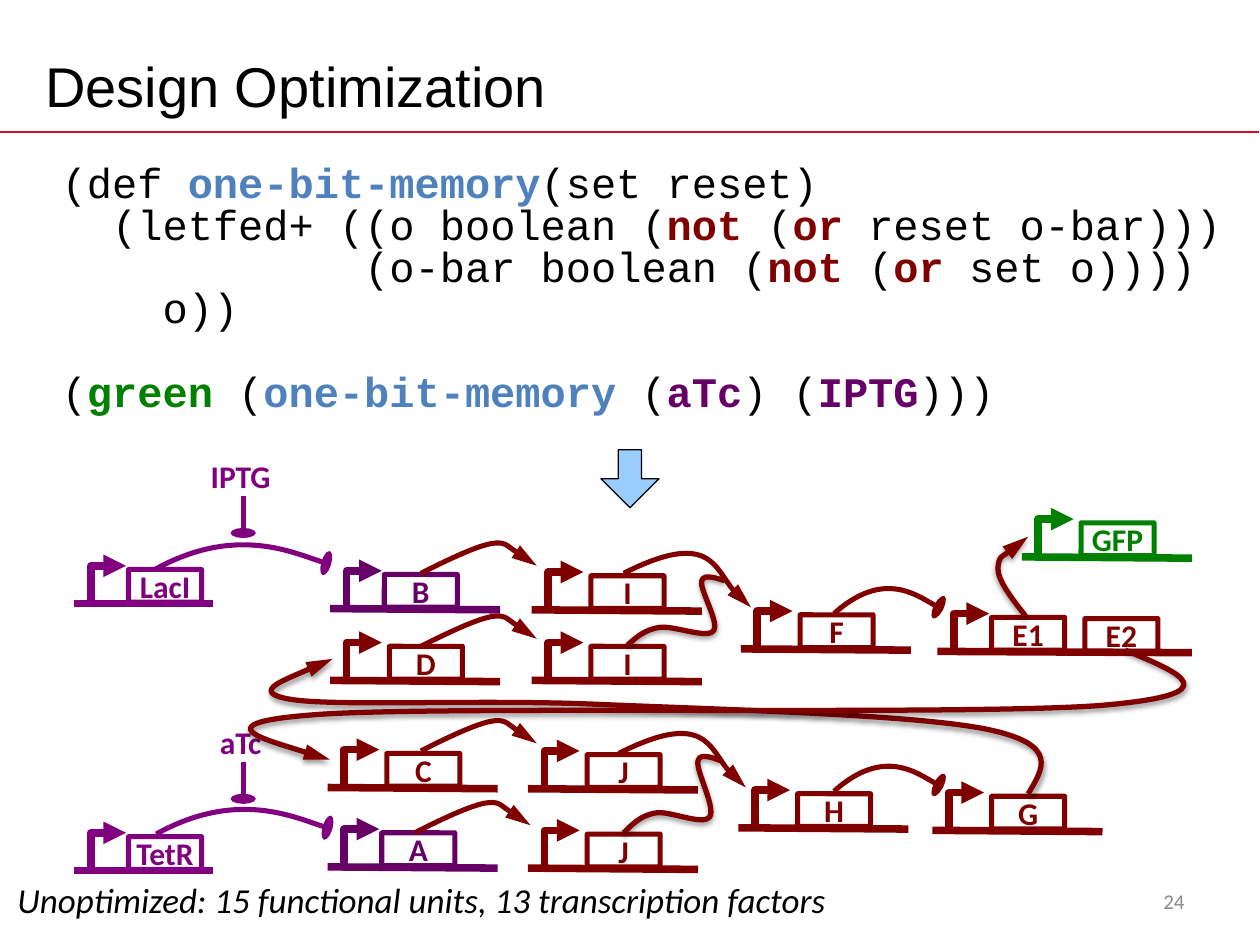
"""Build the design optimization slide with its genetic circuit diagram."""
from dataclasses import dataclass
from typing import Optional

from lxml.etree import SubElement
from pptx import Presentation
from pptx.dml.color import RGBColor
from pptx.enum.shapes import MSO_CONNECTOR as Connector, MSO_SHAPE as Shape
from pptx.enum.text import MSO_ANCHOR as Anchor, PP_ALIGN as Align
from pptx.oxml.ns import qn
from pptx.util import Cm, Pt

COLORS = {
    "black": "000000", "rule": "CE1126", "blue": "4F81BD", "maroon": "800000",
    "green": "008000", "plum": "660066", "purple": "800080", "arrow": "99CCFF",
    "gray": "898989",
}
HEADS = {"promoter": ("triangle", "med", "med"),
         "activate": ("triangle", "med", "lg"),
         "repress": ("oval", "lg", "sm")}
THICK, THIN, SOFT = 4.31, 2.89, 3

SHORT = ((.69, -.35), (.72, -.18), (.92, -.06))
LONG = ((.69, -.35), (.81, .15), (1.01, .27))
WIDE_ARC = ((.65, -.36), (1.14, -.11), (1.36, -.05))
NARROW_ARC = ((.4, -.36), (.7, -.11), (.83, -.05))
BRANCH = ((.07, -.06), (.13, -.12), (.25, -.14), (.36, -.16), (.62, -.05), (.68, -.11),
          (.74, -.17), (.57, -.44), (.59, -.51), (.6, -.58), (.77, -.51), (.77, -.51))
G_TO_D = ((.12, -.2), (.25, -.39), (-.32, -.51), (-.89, -.63), (-2.5, -.67), (-3.43, -.71),
          (-4.35, -.75), (-5.51, -.69), (-5.86, -.75), (-6.2, -.81), (-5.52, -1.07),
          (-5.52, -1.07))
E2_TO_C = ((.43, .18), (.87, .35), (-.2, .44), (-1.26, .52), (-5.37, .44), (-6.39, .51),
           (-7.41, .58), (-6.31, .87), (-6.31, .87))
E1_TO_GFP = ((-.11, -.14), (-.22, -.28), (-.22, -.38), (-.21, -.49), (.02, -.63), (.02, -.63))


@dataclass
class Gene:
    """A promoter arrow and its labelled boxes on a strand starting at x, y."""
    x: float
    y: float
    labels: tuple
    color: str = "maroon"
    offset: float = .47
    length: float = 1.35
    drop: float = .01


@dataclass
class Curve:
    """A chain of Bezier points relative to its start."""
    start: tuple
    steps: tuple
    head: Optional[str] = "activate"
    color: str = "maroon"
    width: float = THIN
    stretch: float = 1


@dataclass
class Inducer:
    """A small molecule with a blunt line below it."""
    name: str
    top: float


GENES = (
    Gene(.59, 4.79, ("LacI",), "purple", .43, 1.1, 0),
    Gene(2.62, 4.83, ("B",), "plum", .43),
    Gene(4.22, 5.4, ("I",)),
    Gene(7.4, 6.59, ("G",)),
    Gene(4.22, 4.84, ("I",)),
    Gene(5.88, 5.15, ("F",)),
    Gene(8.11, 4.42, ("GFP",), "green"),
    Gene(2.62, 5.4, ("D",)),
    Gene(7.44, 5.17, ("E1", "E2"), offset=.43, length=2.02),
    Gene(2.6, 6.88, ("A",), "plum", .43),
    Gene(4.19, 6.26, ("J",)),
    Gene(5.86, 6.57, ("H",)),
    Gene(2.6, 6.25, ("C",)),
    Gene(4.19, 6.89, ("J",)),
    Gene(.59, 6.91, ("TetR",), "purple", .43, 1.1, 0),
)
INDUCERS = (Inducer("IPTG", 3.63), Inducer("aTc", 5.74))
CURVES = (
    *(Curve(start, WIDE_ARC, "repress", "purple") for start in ((1.24, 6.62), (1.23, 4.52))),
    *(Curve(start, LONG) for start in ((4.91, 5.98), (4.95, 4.55))),
    *(Curve(start, NARROW_ARC, "repress") for start in ((6.62, 6.28), (6.62, 4.87))),
    Curve((4.98, 5.12), BRANCH, None, width=SOFT),
    Curve((4.95, 6.61), BRANCH, None, width=SOFT, stretch=1.12),
    *(Curve(start, SHORT) for start in ((3.34, 4.55), (3.34, 5.13), (3.34, 5.96), (3.29, 6.61))),
    Curve((8.16, 6.3), G_TO_D, width=SOFT),
    Curve((8.93, 5.16), E2_TO_C, width=SOFT),
    Curve((8.14, 4.89), E1_TO_GFP, width=SOFT),
)
CODE = (
    (("(def ", "black"), ("one-bit-memory", "blue"), ("(set reset)", "black")),
    (("  (letfed+ ((o boolean (", "black"), ("not ", "maroon"), ("(", "black"),
     ("or ", "maroon"), ("reset o-bar)))", "black")),
    (("            (o-bar boolean (", "black"), ("not ", "maroon"), ("(", "black"),
     ("or ", "maroon"), ("set o))))", "black")),
    (("    o))", "black"),),
    (("(", "black"), ("green ", "green"), ("(", "black"), ("one-bit-memory ", "blue"),
     ("(", "black"), ("aTc", "plum"), (") (", "black"), ("IPTG", "plum"), (")))", "black")),
)


def inch(value: float) -> Cm:
    """Turn a diagram unit into a length."""
    return Cm(value * 2.54)


def rgb(name: str) -> RGBColor:
    """Look up a named colour."""
    return RGBColor.from_string(COLORS[name])


def style_line(shape, color: str, width: float, head: Optional[str] = None) -> None:
    """Set the line of a shape and its arrowhead."""
    shape.line.color.rgb = rgb(color)
    shape.line.width = Pt(width)
    if head:
        kind, breadth, length = HEADS[head]
        SubElement(shape.line._get_or_add_ln(), qn("a:tailEnd"),
                   {"type": kind, "w": breadth, "len": length})


def style_font(font, size: float, color: str, name="Calibri", bold=False, italic=False) -> None:
    """Set the look of a font."""
    font.name, font.size, font.bold, font.italic = name, Pt(size), bold, italic
    font.color.rgb = rgb(color)


def write(shape, text: str, size: float, color: str, align=Align.LEFT, anchor=Anchor.TOP,
          margin: Optional[float] = None, **look) -> None:
    """Put one formatted paragraph in a shape."""
    frame = shape.text_frame
    frame.text = text
    frame.word_wrap = True
    frame.vertical_anchor = anchor
    if margin is not None:
        frame.margin_left = frame.margin_right = Cm(margin)
        frame.margin_top = frame.margin_bottom = Cm(margin)
    frame.paragraphs[0].alignment = align
    style_font(frame.paragraphs[0].runs[0].font, size, color, **look)


def add_box(shapes, left: float, top: float, width: float, height: float):
    """Add an empty text box."""
    return shapes.add_textbox(inch(left), inch(top), inch(width), inch(height))


def draw_line(shapes, start: tuple, end: tuple, color: str, width: float, head=None) -> None:
    """Draw a straight line without shadow."""
    line = shapes.add_connector(Connector.STRAIGHT, *map(inch, start + end))
    style_line(line, color, width, head)
    SubElement(line.element.spPr, qn("a:effectLst"))


def draw_path(shapes, points: list, color: str, width: float, head: Optional[str]):
    """Draw an open outline through the points."""
    start, *rest = [(inch(x), inch(y)) for x, y in points]
    builder = shapes.build_freeform(*start)
    builder.add_line_segments(rest, close=False)
    shape = builder.convert_to_shape()
    shape.fill.background()
    shape.shadow.inherit = False
    style_line(shape, color, width, head)
    return shape


def draw_curve(shapes, curve: Curve) -> None:
    """Draw a Bezier curve, with a soft shadow on the heavier ones."""
    x, y = curve.start
    points = [(x, y)] + [(x + dx, y + dy * curve.stretch) for dx, dy in curve.steps]
    shape = draw_path(shapes, points, curve.color, curve.width, curve.head)
    path = shape.element.spPr.find(".//" + qn("a:path"))
    segments = path.findall(qn("a:lnTo"))
    for index in range(0, len(segments), 3):
        bezier = SubElement(path, qn("a:cubicBezTo"))
        for segment in segments[index:index + 3]:
            bezier.append(segment[0])
            path.remove(segment)
    if curve.width == SOFT:
        effects = shape.element.spPr.find(qn("a:effectLst"))
        shadow = SubElement(effects, qn("a:outerShdw"), {
            "blurRad": str(Pt(3.1)), "dist": str(Pt(1.6)), "dir": "5400000", "rotWithShape": "0"})
        tint = SubElement(shadow, qn("a:srgbClr"), {"val": COLORS["black"]})
        SubElement(tint, qn("a:alpha"), {"val": "38000"})


def draw_gene(shapes, gene: Gene) -> None:
    """Draw a gene as one group."""
    group = shapes.add_group_shape().shapes
    x, y, color = gene.x, gene.y, gene.color
    promoter = [(x + .13, y - .02), (x + .13, y - .3), (x + .41, y - .3)]
    draw_path(group, promoter, color, THICK, "promoter")
    draw_line(group, (x, y), (x + gene.length, y + gene.drop), color, THICK)
    for index, label in enumerate(gene.labels):
        left = x + gene.offset + .74 * index
        box = group.add_shape(Shape.ROUNDED_RECTANGLE, inch(left), inch(y - .27 + .01 * index),
                              inch(.58), inch(.26))
        box.adjustments[0] = .01
        box.fill.background()
        box.shadow.inherit = False
        style_line(box, color, THIN)
        write(box, label, 18, color, Align.CENTER, Anchor.MIDDLE, 0, bold=True)


def draw_inducer(shapes, inducer: Inducer) -> None:
    """Draw an inducer name and its blunt line."""
    label = add_box(shapes, 1.51, inducer.top, .8, .34)
    write(label, inducer.name, 18, "purple", Align.CENTER, margin=0, bold=True)
    draw_line(shapes, (1.93, inducer.top + .31), (1.93, inducer.top + .6), "purple", THIN, "repress")


def draw_code(shapes) -> None:
    """Write the program listing."""
    frame = add_box(shapes, .4, 1.22, 9.55, 2.23).text_frame
    frame.word_wrap = True
    frame.margin_left = frame.margin_right = frame.margin_top = inch(.09)
    frame.margin_bottom = inch(.04)
    for index, pieces in enumerate(CODE):
        paragraph = frame.add_paragraph() if index else frame.paragraphs[0]
        paragraph.line_spacing = .83
        for text, color in pieces:
            run = paragraph.add_run()
            run.text = text
            style_font(run.font, 24, color, "Courier New", color != "black")
    paragraph.space_before = Pt(24)


def main() -> None:
    """Build and save the slide."""
    presentation = Presentation()
    presentation.slide_width, presentation.slide_height = Cm(25.4), Cm(19.05)
    shapes = presentation.slides.add_slide(presentation.slide_layouts[6]).shapes
    draw_line(shapes, (0, 1.05), (9.99, 1.05), "rule", 1)
    draw_code(shapes)
    write(add_box(shapes, .26, .3, 9, .75), "Design Optimization", 32, "black",
          anchor=Anchor.MIDDLE, name="Arial")
    arrow = shapes.add_shape(Shape.DOWN_ARROW, inch(4.77), inch(3.57), inch(.46), inch(.46))
    arrow.adjustments[0], arrow.adjustments[1] = .4, .5
    arrow.shadow.inherit = False
    arrow.fill.solid()
    arrow.fill.fore_color.rgb = rgb("arrow")
    style_line(arrow, "black", .75)
    for draw, items in ((draw_gene, GENES), (draw_inducer, INDUCERS), (draw_curve, CURVES)):
        for item in items:
            draw(shapes, item)
    write(add_box(shapes, .04, 6.92, 7.51, .44),
          "Unoptimized: 15 functional units, 13 transcription factors", 20, "black", italic=True)
    write(add_box(shapes, 7.17, 6.95, 2.33, .4), "24", 12, "gray", Align.RIGHT, Anchor.MIDDLE)
    presentation.save("out.pptx")


if __name__ == "__main__":
    main()
